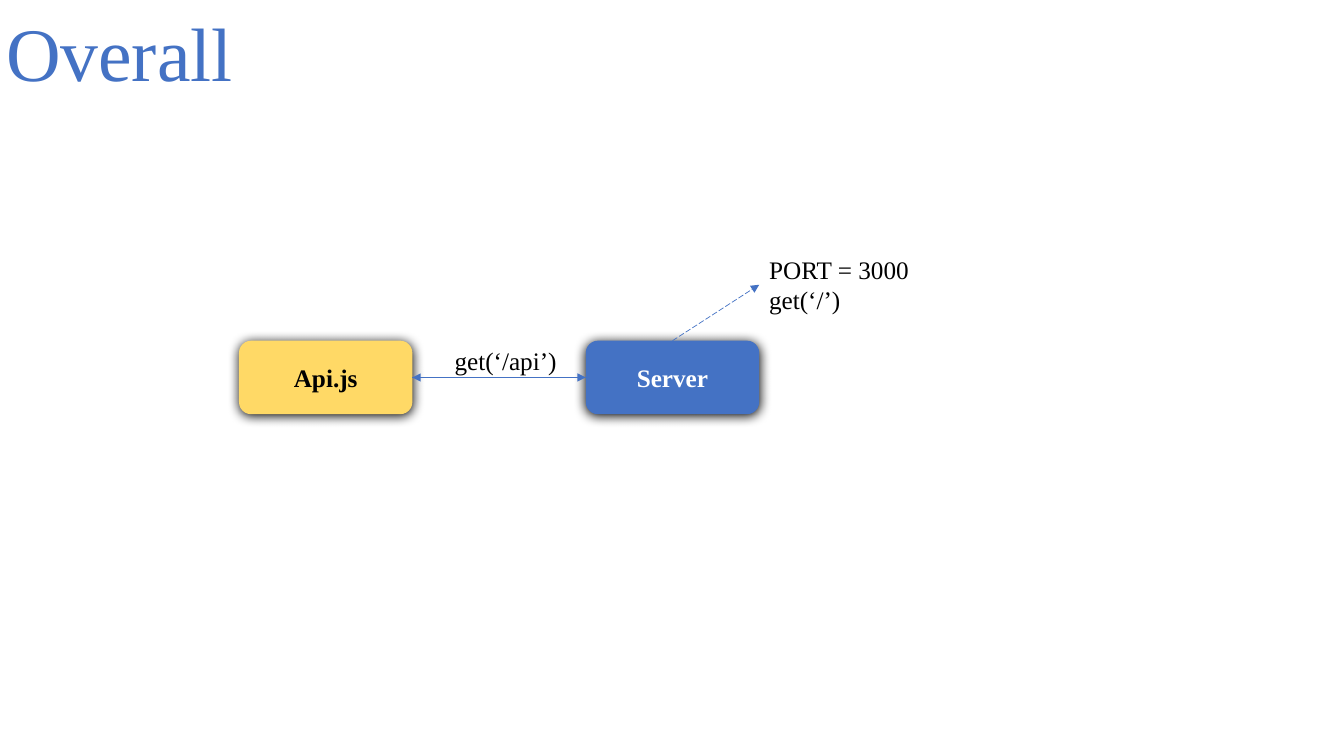
"""Build the slide showing how Api.js talks to the server."""
from lxml.etree import SubElement
from pptx import Presentation
from pptx.dml.color import RGBColor
from pptx.enum.dml import MSO_LINE
from pptx.enum.shapes import MSO_CONNECTOR, MSO_SHAPE
from pptx.enum.text import MSO_ANCHOR, MSO_AUTO_SIZE, PP_ALIGN
from pptx.oxml.ns import qn
from pptx.util import Inches, Pt

BLUE = RGBColor(0x44, 0x72, 0xC4)
GOLD = RGBColor(0xFF, 0xD9, 0x66)
BLACK = RGBColor(0, 0, 0)
WHITE = RGBColor(0xFF, 0xFF, 0xFF)
FONT = "Times New Roman"
COL = 1.72
LEFT = 2.37
TOP = 3.38
HIGH = 0.73


def write(frame, lines, size, color, align=PP_ALIGN.LEFT, bold=False):
    for i, line in enumerate(lines):
        para = frame.paragraphs[0] if i == 0 else frame.add_paragraph()
        para.alignment = align
        run = para.add_run()
        run.text = line
        run.font.name = FONT
        run.font.size = Pt(size)
        run.font.bold = bold
        run.font.color.rgb = color


deck = Presentation()
deck.slide_width = Inches(13.33)
deck.slide_height = Inches(7.5)
shapes = deck.slides.add_slide(deck.slide_layouts[6]).shapes

nodes = {}
for name, col, fill, ink in [("Server", 2, BLUE, WHITE), ("Api.js", 0, GOLD, BLACK)]:
    node = shapes.add_shape(
        MSO_SHAPE.ROUNDED_RECTANGLE,
        Inches(LEFT + col * COL), Inches(TOP), Inches(COL), Inches(HIGH),
    )
    node.fill.solid()
    node.fill.fore_color.rgb = fill
    node.line.fill.background()
    node.shadow.inherit = False
    effect = node._element.spPr.find(qn("a:effectLst"))
    shade = SubElement(
        effect, qn("a:outerShdw"), blurRad=str(Pt(8.5)), dist=str(Pt(1)),
        dir="5400000", algn="ctr", rotWithShape="0",
    )
    SubElement(shade, qn("a:srgbClr"), val="000000")
    node.text_frame.vertical_anchor = MSO_ANCHOR.MIDDLE
    write(node.text_frame, [name], 18, ink, PP_ALIGN.CENTER, True)
    nodes[name] = node

labels = [
    ("title", -0.05, 0.01, 2.47, 1.01, ["Overall"], 54, BLUE, PP_ALIGN.CENTER),
    ("port", LEFT + 3 * COL, 2.47, 1.6, 0.71, ["PORT = 3000", "get(‘/’)"], 18, BLACK, PP_ALIGN.LEFT),
    ("call", 4.41, TOP, 1.22, 0.4, ["get(‘/api’)"], 18, BLACK, PP_ALIGN.LEFT),
]
for name, x, y, wide, high, lines, size, ink, align in labels:
    box = shapes.add_textbox(Inches(x), Inches(y), Inches(wide), Inches(high))
    box.text_frame.word_wrap = False
    box.text_frame.auto_size = MSO_AUTO_SIZE.SHAPE_TO_FIT_TEXT
    write(box.text_frame, lines, size, ink, align)
    nodes[name] = box

links = [
    ("Server", 0, "port", 1, MSO_LINE.LONG_DASH),
    ("Server", 1, "Api.js", 3, None),
    ("Api.js", 3, "Server", 1, None),
]
for start, out, end, into, dash in links:
    link = shapes.add_connector(MSO_CONNECTOR.STRAIGHT, 0, 0, 0, 0)
    link.begin_connect(nodes[start], out)
    link.end_connect(nodes[end], into)
    link.line.color.rgb = BLUE
    link.line.width = Pt(0.5)
    if dash:
        link.line.dash_style = dash
    SubElement(link.line._get_or_add_ln(), qn("a:tailEnd"), type="triangle")
    SubElement(link._element.spPr, qn("a:effectLst"))

deck.save("out.pptx")
